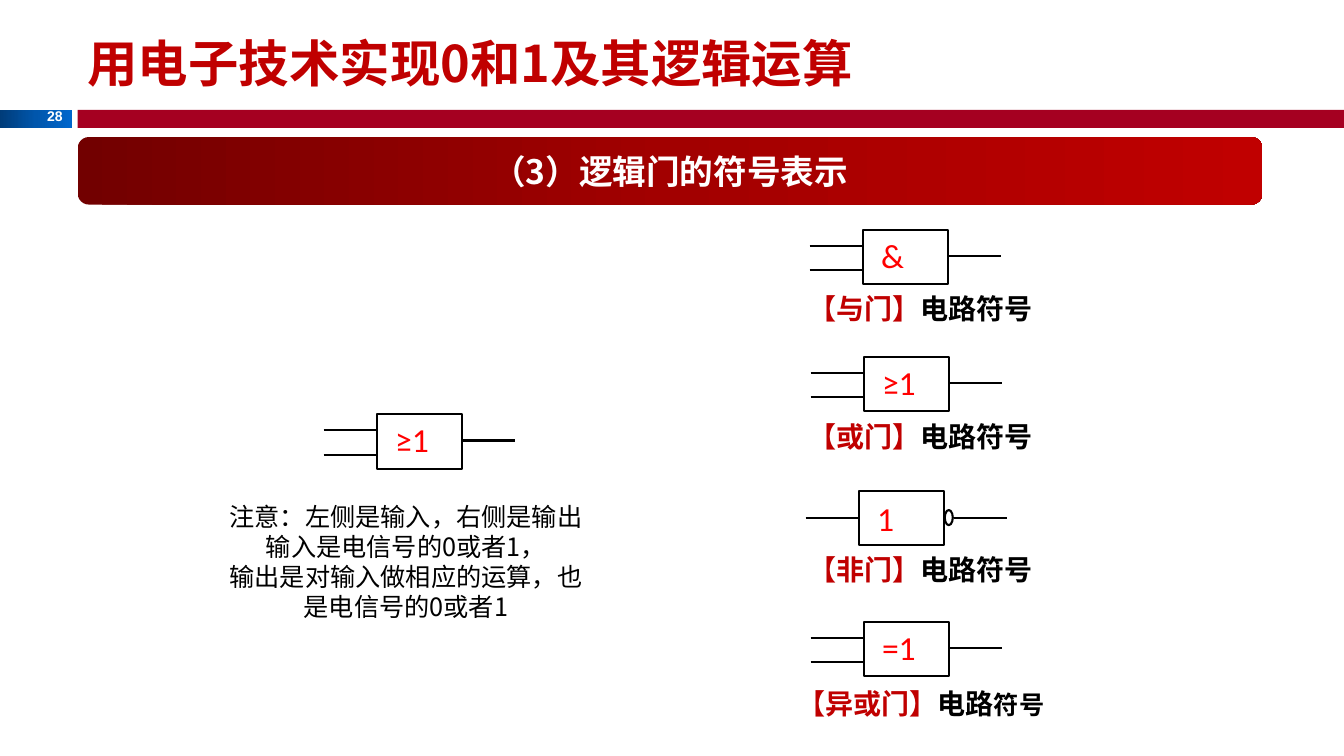
from copy import deepcopy

from pptx import Presentation
from pptx.dml.color import RGBColor
from pptx.enum.shapes import MSO_CONNECTOR as Connector, MSO_SHAPE as Shape
from pptx.enum.text import MSO_ANCHOR as Anchor, MSO_AUTO_SIZE as AutoSize, PP_ALIGN as Align
from pptx.oxml.ns import qn
from pptx.util import Pt

PX = 9144
BLACK = RGBColor(0, 0, 0)
WHITE = RGBColor(255, 255, 255)
RED = RGBColor(255, 0, 0)
DARK_RED = RGBColor(192, 0, 0)
CRIMSON = RGBColor(165, 0, 33)
BLUES = [RGBColor(0, 60, 121), RGBColor(0, 86, 172), RGBColor(0, 102, 204)]
REDS = [RGBColor(114, 0, 0), RGBColor(162, 0, 0), DARK_RED]
HEADING_FONT = "Noto Sans CJK SC"
SYMBOL_FONT = "Calibri"
NUMBER_FONT = "Arial"
GATE_WIDTH, GATE_HEIGHT, WIRE = 84, 54, 53


class GateSlide:
    def __init__(self, presentation):
        self.slide = presentation.slides.add_slide(presentation.slide_layouts[6])

    def shape(self, kind, left, top, width, height, colors=None):
        shape = self.slide.shapes.add_shape(kind, left * PX, top * PX, width * PX, height * PX)
        shape.shadow.inherit = False
        if colors is None:
            shape.fill.background()
            shape.line.color.rgb = BLACK
            shape.line.width = Pt(1.5)
            return shape
        shape.line.fill.background()
        if len(colors) == 1:
            shape.fill.solid()
            shape.fill.fore_color.rgb = colors[0]
        else:
            self.gradient(shape, colors)
        return shape

    def gradient(self, shape, colors):
        shape.fill.gradient()
        shape.fill.gradient_angle = 0
        stop_list = next(shape._element.spPr.iter(qn("a:gsLst")))
        stop_list.insert(1, deepcopy(stop_list[0]))
        for index, (stop, color) in enumerate(zip(shape.fill.gradient_stops, colors)):
            stop.position = index / (len(colors) - 1)
            stop.color.rgb = color

    def wire(self, left, y, length=WIRE):
        line = self.slide.shapes.add_connector(
            Connector.STRAIGHT, left * PX, y * PX, (left + length) * PX, y * PX)
        line.line.color.rgb = BLACK
        line.line.width = Pt(1.5)
        properties = line._element.spPr
        properties.append(properties.makeelement(qn("a:effectLst"), {}))

    def add_text(self, shape, paragraphs, font=HEADING_FONT, bold=False, align=Align.LEFT):
        frame = shape.text_frame
        for index, runs in enumerate(paragraphs):
            paragraph = frame.add_paragraph() if index else frame.paragraphs[0]
            paragraph.alignment = align
            for text, size, color in runs:
                run = paragraph.add_run()
                run.text = text
                run.font.name = font
                run.font.size = Pt(size)
                run.font.bold = bold
                run.font.color.rgb = color
                east_asian = run._r.rPr.makeelement(qn("a:ea"), {"typeface": font})
                run._r.rPr.find(qn("a:latin")).addnext(east_asian)

    def text(self, left, top, width, height, paragraphs, wrap=False, anchor=Anchor.TOP, **style):
        box = self.slide.shapes.add_textbox(left * PX, top * PX, width * PX, height * PX)
        frame = box.text_frame
        frame.word_wrap = wrap
        frame.auto_size = AutoSize.NONE if anchor == Anchor.MIDDLE else AutoSize.SHAPE_TO_FIT_TEXT
        frame.vertical_anchor = anchor
        self.add_text(box, paragraphs, **style)

    def symbol(self, left, top, sign, width):
        self.text(left + 8, top, width, 51, [[(sign, 24, RED)]], font=SYMBOL_FONT)

    def gate(self, left, top, sign, width=54):
        self.shape(Shape.RECTANGLE, left, top, GATE_WIDTH, GATE_HEIGHT)
        for offset in (16, 40):
            self.wire(left - WIRE, top + offset)
        self.wire(left + GATE_WIDTH, top + 26)
        self.symbol(left, top, sign, width)

    def not_gate(self, left, top):
        middle = top + GATE_HEIGHT // 2
        self.shape(Shape.RECTANGLE, left, top, GATE_WIDTH, GATE_HEIGHT)
        self.wire(left - WIRE, middle)
        self.wire(left + GATE_WIDTH + 10, middle)
        self.symbol(left, top + 2, "1", 45)
        self.shape(Shape.OVAL, left + GATE_WIDTH + 1, middle - 8, 8, 15)

    def caption(self, top, name, rest, left=792, width=246):
        runs = [(name, 20, DARK_RED)] + [(text, size, BLACK) for text, size in rest]
        self.text(left, top, width, 44, [runs], bold=True)


def main():
    presentation = Presentation()
    presentation.slide_width = 1333 * PX
    presentation.slide_height = 750 * PX
    page = GateSlide(presentation)

    page.shape(Shape.RECTANGLE, 0, 109, 71, 18, BLUES)
    page.shape(Shape.RECTANGLE, 77, 109, 1256, 18, [CRIMSON])
    page.text(35, 102, 37, 27, [[("28", 10, WHITE)]],
              font=NUMBER_FONT, bold=True, align=Align.RIGHT)
    page.text(77, 20, 1167, 83, [[("用电子技术实现0和1及其逻辑运算", 36, DARK_RED)]],
              wrap=True, anchor=Anchor.MIDDLE, bold=True)
    banner = page.shape(Shape.ROUNDED_RECTANGLE, 77, 136, 1175, 67, REDS)
    banner.text_frame.vertical_anchor = Anchor.MIDDLE
    page.add_text(banner, [[("（3）逻辑门的符号表示", 24, WHITE)]], bold=True, align=Align.CENTER)

    page.gate(856, 228, "&", 44)
    page.gate(857, 354, "≥1")
    page.not_gate(852, 487)
    page.gate(857, 617, "=1")
    for top, name in ((284, "【与门】"), (411, "【或门】"), (543, "【非门】")):
        page.caption(top, name, [("电路符号", 20)])
    page.caption(676, "【异或门】", [("电路", 20), ("符号", 18)], left=781, width=269)

    page.gate(374, 411, "≥1")
    notes = ("注意：左侧是输入，右侧是输出", "输入是电信号的0或者1，",
             "输出是对输入做相应的运算，也是电信号的0或者1")
    page.text(208, 492, 389, 131, [[(note, 18, BLACK)] for note in notes],
              wrap=True, align=Align.CENTER)

    presentation.save("out.pptx")


if __name__ == "__main__":
    main()
